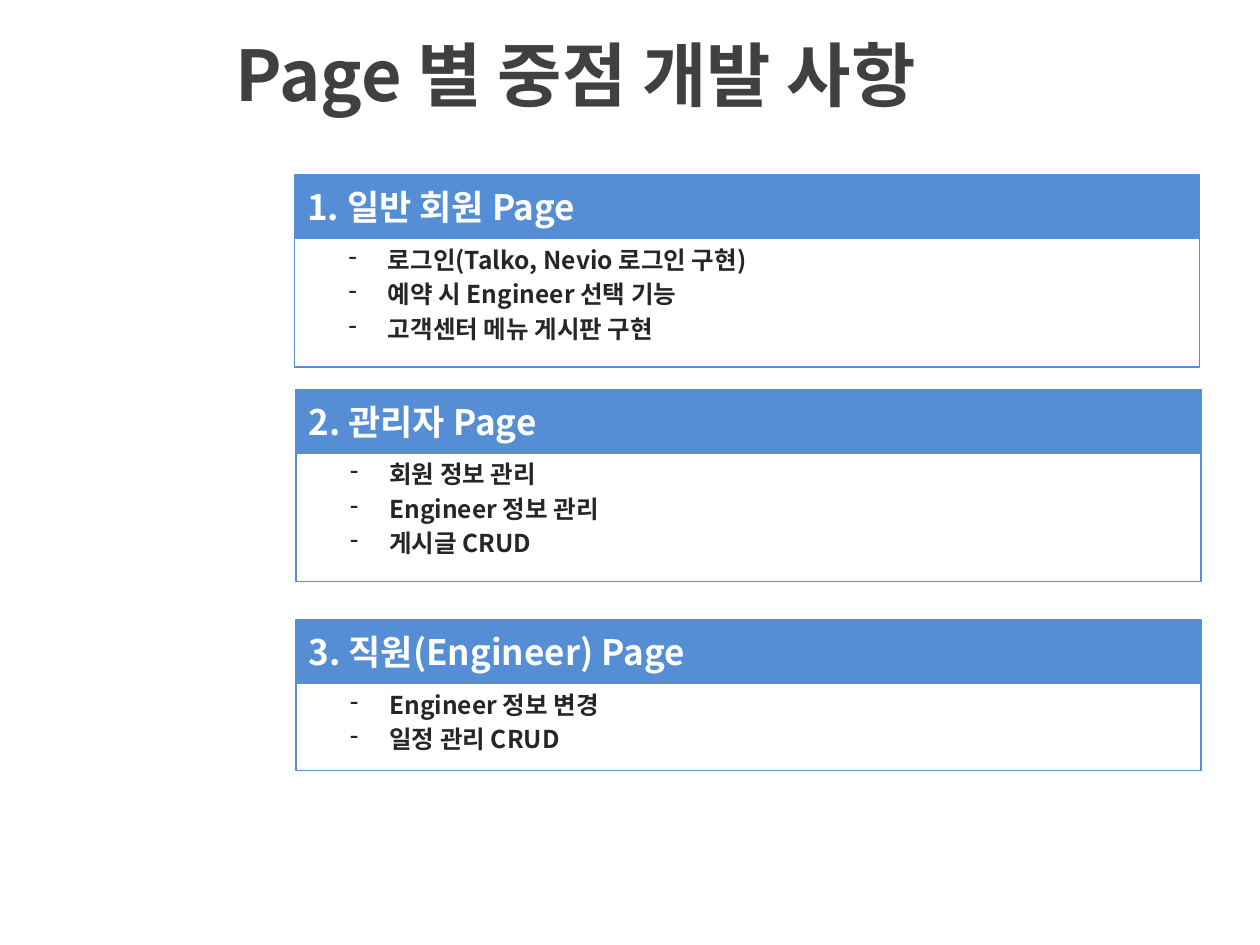
from lxml.etree import SubElement
from pptx import Presentation
from pptx.dml.color import RGBColor
from pptx.enum.shapes import MSO_SHAPE
from pptx.enum.text import MSO_ANCHOR, PP_ALIGN
from pptx.oxml.ns import qn
from pptx.util import Cm, Pt

FONT = "Noto Sans CJK KR"
COLORS = {"title": "404040", "bar": "558ED5", "heading": "FFFFFF", "item": "262626"}
PANEL_WIDTH = 18.24
BAR_HEIGHT = 1.28
SECTIONS = [
    (5.94, 3.53, 2.59, "1. 일반 회원 Page",
     ["로그인(Talko, Nevio 로그인 구현)", "예약 시 Engineer 선택 기능", "고객센터 메뉴 게시판 구현"]),
    (5.97, 7.85, 2.59, "2. 관리자 Page",
     ["회원 정보 관리", "Engineer 정보 관리", "게시글 CRUD"]),
    (5.97, 12.5, 1.75, "3. 직원(Engineer) Page",
     ["Engineer 정보 변경", "일정 관리 CRUD"]),
]


def color(name):
    return RGBColor.from_string(COLORS[name])


def add_run(paragraph, text, size, color_name):
    paragraph.alignment = PP_ALIGN.LEFT
    run = paragraph.add_run()
    run.text = text
    run.font.size = Pt(size)
    run.font.bold = True
    run.font.name = FONT
    run.font.color.rgb = color(color_name)
    SubElement(run._r.get_or_add_rPr(), qn("a:ea"), typeface=FONT)


def add_dash(paragraph):
    properties = paragraph._p.get_or_add_pPr()
    properties.set("marL", str(Cm(0.79)))
    properties.set("indent", str(-Cm(0.79)))
    SubElement(properties, qn("a:buChar"), char="-")


def add_title(slide, text):
    frame = slide.shapes.add_textbox(Cm(4.5), Cm(0), Cm(20.9), Cm(2.97)).text_frame
    frame.word_wrap = True
    frame.vertical_anchor = MSO_ANCHOR.MIDDLE
    add_run(frame.paragraphs[0], text, 40, "title")


def add_box(slide, left, top, height):
    shape = slide.shapes.add_shape(
        MSO_SHAPE.RECTANGLE, Cm(left), Cm(top), Cm(PANEL_WIDTH), Cm(height))
    shape.shadow.inherit = False
    shape.fill.background()
    shape.line.color.rgb = color("bar")
    shape.line.width = Pt(0.75)
    shape.text_frame.word_wrap = True
    return shape


def add_heading(slide, left, top, text):
    shape = add_box(slide, left, top, BAR_HEIGHT)
    shape.fill.solid()
    shape.fill.fore_color.rgb = color("bar")
    shape.text_frame.vertical_anchor = MSO_ANCHOR.MIDDLE
    add_run(shape.text_frame.paragraphs[0], text, 20, "heading")


def add_items(slide, left, top, height, items):
    frame = add_box(slide, left, top, height).text_frame
    frame.vertical_anchor = MSO_ANCHOR.TOP
    frame.margin_left = Cm(1.09)
    for index, item in enumerate(items):
        paragraph = frame.add_paragraph() if index else frame.paragraphs[0]
        add_dash(paragraph)
        if index:
            paragraph.space_before = Pt(3)
        add_run(paragraph, item, 14, "item")


def main():
    presentation = Presentation()
    presentation.slide_width = Cm(25.4)
    presentation.slide_height = Cm(19.05)
    slide = presentation.slides.add_slide(presentation.slide_layouts[6])
    add_title(slide, "Page 별 중점 개발 사항")
    for left, top, height, heading, items in SECTIONS:
        add_heading(slide, left, top, heading)
        add_items(slide, left, top + BAR_HEIGHT, height, items)
    presentation.save("out.pptx")


if __name__ == "__main__":
    main()
